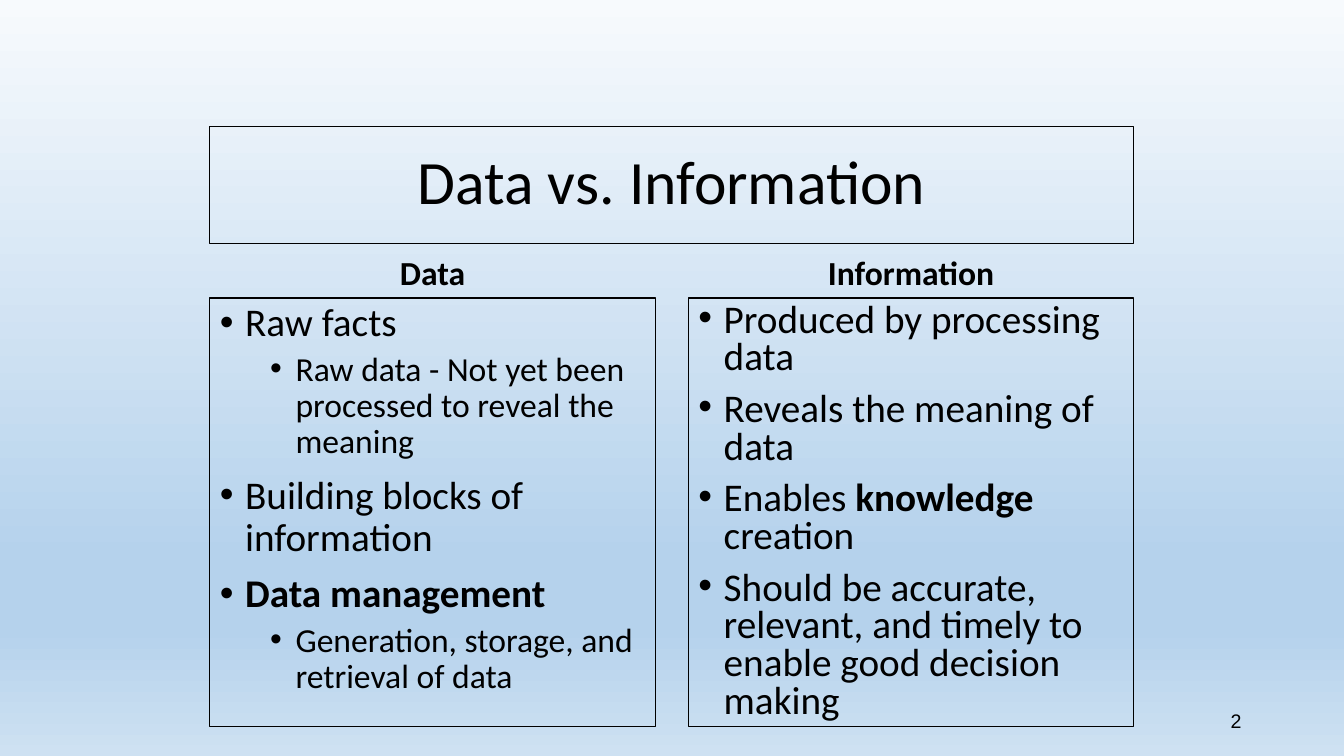
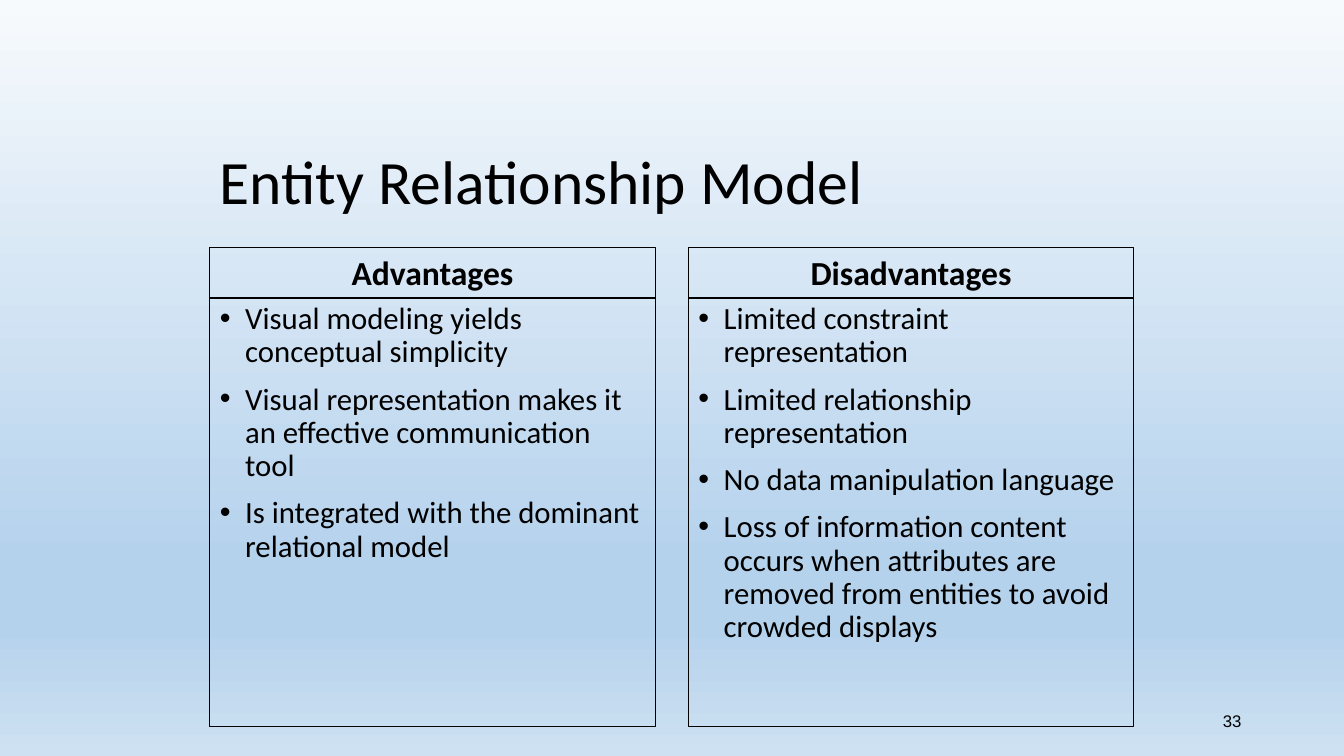
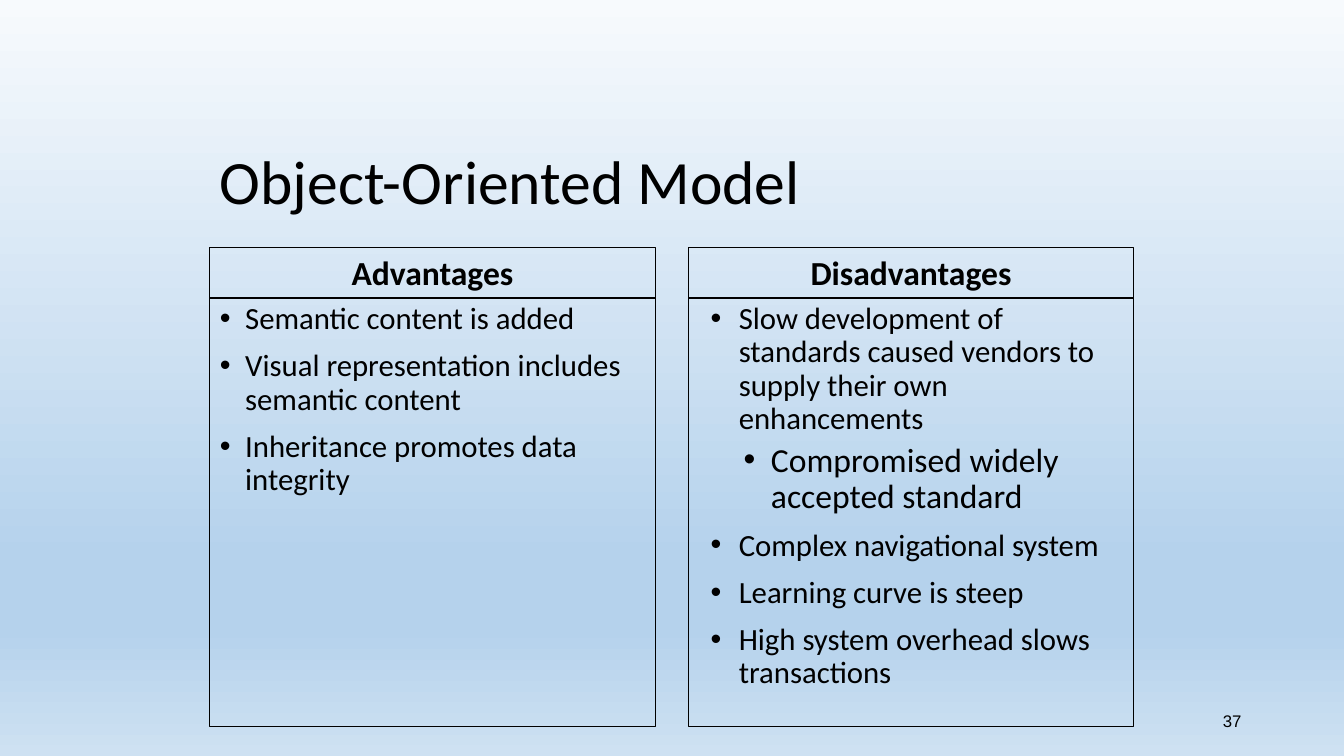
"""Build three slides that each compare two ideas in side-by-side columns."""
from dataclasses import dataclass

from lxml import etree
from pptx import Presentation
from pptx.dml.color import RGBColor
from pptx.enum.text import MSO_ANCHOR, MSO_AUTO_SIZE, PP_ALIGN
from pptx.oxml.ns import qn
from pptx.util import Cm, Pt

LEFT, CENTER, RIGHT = PP_ALIGN.LEFT, PP_ALIGN.CENTER, PP_ALIGN.RIGHT
TOP, MIDDLE, BOTTOM = MSO_ANCHOR.TOP, MSO_ANCHOR.MIDDLE, MSO_ANCHOR.BOTTOM
NO_AUTOFIT = MSO_AUTO_SIZE.NONE


@dataclass(frozen=True)
class Theme:
    """Colours, fonts and type sizes shared by all slides."""
    ink: RGBColor = RGBColor(0, 0, 0)
    sky: tuple = ((0, "F7FAFD"), (74, "B5D2EC"), (83, "B5D2EC"), (100, "CEE1F2"))
    text_font: str = "Calibri"
    number_font: str = "Arial"
    title_size: int = 44
    heading_size: int = 24
    sub_size: int = 24
    border: float = 0.75


THEME = Theme()
BOLD_MARK = "|"
WIDE_INDENTS = ((0.64, -0.64), (1.91, -0.64))
TIGHT_INDENTS = ((1.02, -0.71), (1.83, -0.69))
SPACE_BEFORE = (10, 5)

SLIDES = [
    {
        "title": "Data vs. Information", "title_align": CENTER,
        "title_border": True, "heading_border": False,
        "size": 28, "number": "2", "number_size": 14,
        "columns": [
            {"heading": "Data", "bullets": [
                (0, "Raw facts"),
                (1, "Raw data - Not yet been processed to reveal the meaning"),
                (0, "Building blocks of information"),
                (0, "|Data management|"),
                (1, "Generation, storage, and retrieval of data"),
            ]},
            {"heading": "Information", "line_spacing": 0.8, "bullets": [
                (0, "Produced by processing data"),
                (0, "Reveals the meaning of data"),
                (0, "Enables |knowledge |creation"),
                (0, "Should be accurate, relevant, and timely to enable good decision making"),
            ]},
        ],
    },
    {
        "title": "Entity Relationship Model", "number": "33",
        "columns": [
            {"heading": "Advantages", "bullets": [
                (0, "Visual modeling yields conceptual simplicity"),
                (0, "Visual representation makes it an effective communication tool"),
                (0, "Is integrated with the dominant relational model"),
            ]},
            {"heading": "Disadvantages", "bullets": [
                (0, "Limited constraint representation"),
                (0, "Limited relationship representation"),
                (0, "No data manipulation language"),
                (0, "Loss of information content occurs when attributes are removed "
                    "from entities to avoid crowded displays"),
            ]},
        ],
    },
    {
        "title": "Object-Oriented Model", "number": "37",
        "columns": [
            {"heading": "Advantages", "bullets": [
                (0, "Semantic content is added"),
                (0, "Visual representation includes semantic content"),
                (0, "Inheritance promotes data integrity"),
            ]},
            {"heading": "Disadvantages", "indents": TIGHT_INDENTS, "bullets": [
                (0, "Slow development of standards caused vendors to supply "
                    "their own enhancements"),
                (1, "Compromised widely accepted standard"),
                (0, "Complex navigational system"),
                (0, "Learning curve is steep"),
                (0, "High system overhead slows transactions"),
            ]},
        ],
    },
]

MARGIN, CONTENT_WIDTH, COLUMN_WIDTH = 5.29, 23.28, 11.22
COLUMN_STEP = CONTENT_WIDTH - COLUMN_WIDTH
TITLE_TOP, TITLE_HEIGHT = 3.18, 2.96
HEADING_TOP, HEADING_HEIGHT = 6.23, 1.28
BODY_TOP, BODY_HEIGHT = HEADING_TOP + HEADING_HEIGHT, 10.79
NUMBER_AREA = (23.92, 17.65, 7.62, 1.02)


def apply(target, **values):
    """Set each named attribute on the target."""
    for name, value in values.items():
        setattr(target, name, value)


def paint_background(master):
    """Give the master the vertical sky gradient."""
    fill = master.background.fill
    fill.gradient()
    fill.gradient_angle = 270
    stops = master.element.find(".//" + qn("a:gsLst"))
    for stop in list(stops):
        stops.remove(stop)
    for percent, colour in THEME.sky:
        stop = etree.SubElement(stops, qn("a:gs"), pos=str(percent * 1000))
        etree.SubElement(stop, qn("a:srgbClr"), val=colour)


def add_box(slide, area, anchor, bordered=False):
    """Add an empty text box and return its text frame."""
    box = slide.shapes.add_textbox(*map(Cm, area))
    if bordered:
        box.line.color.rgb = THEME.ink
        box.line.width = Pt(THEME.border)
    apply(box.text_frame, word_wrap=True, auto_size=NO_AUTOFIT, vertical_anchor=anchor)
    return box.text_frame


def write(para, text, size, font=THEME.text_font, bold=False, **layout):
    """Fill a paragraph, switching weight at every bold mark."""
    apply(para, **layout)
    for position, piece in enumerate(text.split(BOLD_MARK)):
        if piece:
            span = para.add_run()
            span.text = piece
            apply(span.font, size=Pt(size), name=font, bold=bold or position % 2 == 1)
            span.font.color.rgb = THEME.ink


def add_bullet(para, margin, indent):
    """Give a paragraph a round bullet and a hanging indent."""
    properties = para._p.get_or_add_pPr()
    properties.set("marL", str(Cm(margin)))
    properties.set("indent", str(Cm(indent)))
    etree.SubElement(properties, qn("a:buFont"), typeface="Arial")
    etree.SubElement(properties, qn("a:buChar"), char="•")


def add_column(slide, left, column, size, heading_border):
    """Add a heading and the bulleted box below it."""
    heading = add_box(slide, (left, HEADING_TOP, COLUMN_WIDTH, HEADING_HEIGHT),
                      BOTTOM, heading_border)
    write(heading.paragraphs[0], column["heading"], THEME.heading_size, bold=True,
          alignment=CENTER, line_spacing=0.9, space_before=Pt(SPACE_BEFORE[0]))
    body = add_box(slide, (left, BODY_TOP, COLUMN_WIDTH, BODY_HEIGHT), TOP, True)
    indents = column.get("indents", WIDE_INDENTS)
    for index, (level, text) in enumerate(column["bullets"]):
        para = body.add_paragraph() if index else body.paragraphs[0]
        write(para, text, THEME.sub_size if level else size, level=level,
              line_spacing=column.get("line_spacing", 0.9),
              space_before=Pt(SPACE_BEFORE[level]))
        add_bullet(para, *indents[level])


def add_comparison(deck, content):
    """Add one slide with its title, two columns and number."""
    slide = deck.slides.add_slide(deck.slide_layouts[6])
    title = add_box(slide, (MARGIN, TITLE_TOP, CONTENT_WIDTH, TITLE_HEIGHT),
                    MIDDLE, content.get("title_border", False))
    write(title.paragraphs[0], content["title"], THEME.title_size,
          alignment=content.get("title_align", LEFT), line_spacing=0.9)
    for index, column in enumerate(content["columns"]):
        add_column(slide, MARGIN + index * COLUMN_STEP, column,
                   content.get("size", 22), content.get("heading_border", True))
    number = add_box(slide, NUMBER_AREA, MIDDLE)
    write(number.paragraphs[0], content["number"], content.get("number_size", 12),
          font=THEME.number_font, alignment=RIGHT)


def main():
    """Build and save the deck."""
    deck = Presentation()
    apply(deck, slide_width=Cm(33.87), slide_height=Cm(19.05))
    paint_background(deck.slide_master)
    for content in SLIDES:
        add_comparison(deck, content)
    deck.save("out.pptx")


if __name__ == "__main__":
    main()
